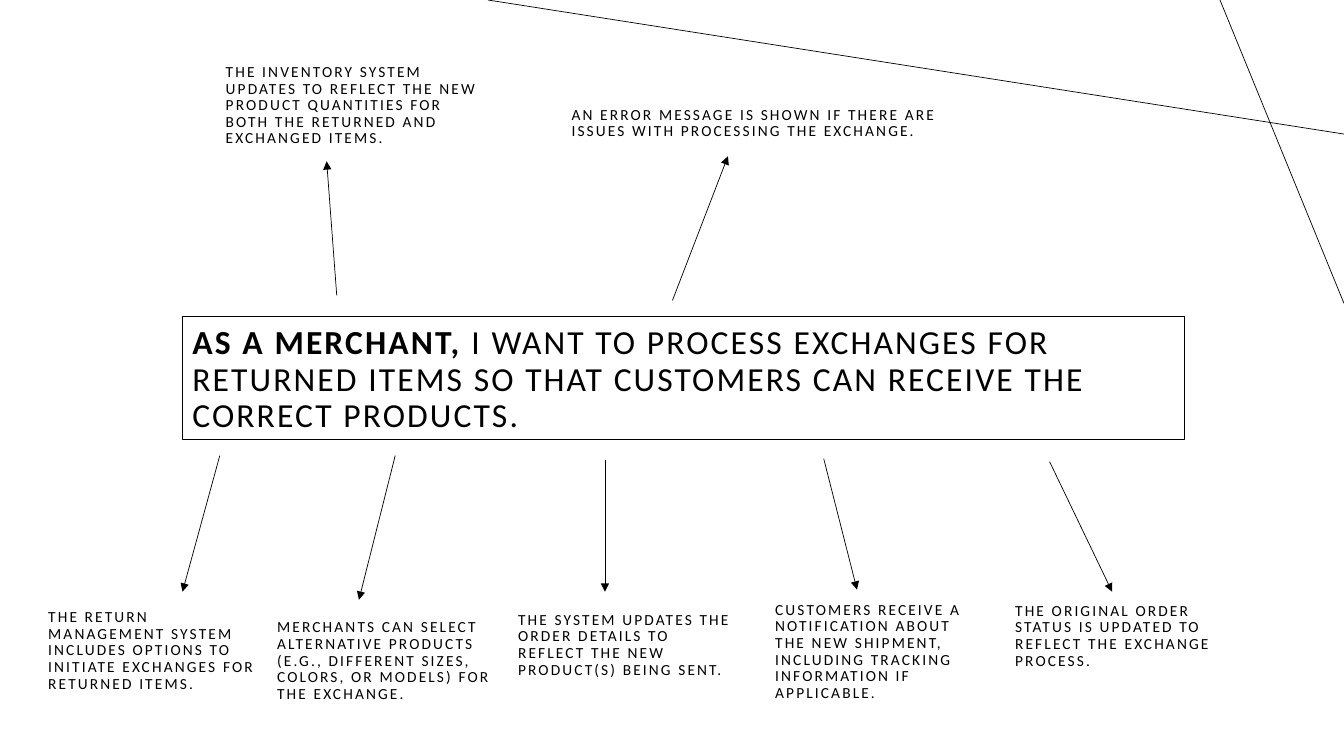
from dataclasses import dataclass

from lxml.etree import SubElement
from pptx import Presentation
from pptx.dml.color import RGBColor
from pptx.enum.shapes import MSO_CONNECTOR, MSO_SHAPE
from pptx.enum.text import MSO_ANCHOR, PP_ALIGN
from pptx.oxml.ns import qn
from pptx.util import Inches, Pt


@dataclass(frozen=True)
class Theme:
    """Colours, type sizes and line widths of the slide."""
    ink: RGBColor = RGBColor(0, 0, 0)
    paper: RGBColor = RGBColor(255, 255, 255)
    font: str = "Calibri"
    story_size: int = 24
    note_size: int = 11
    letter_spacing: int = 150
    line_spacing: float = 0.9
    thin: float = 0.5
    frame: float = 1


class StoryMap:
    """Draws on one slide, measured in columns and rows of a tenth of an inch."""

    def __init__(self, page, theme):
        """Keep the page and the theme."""
        self.page = page
        self.theme = theme

    def place(self, *cells):
        """Turn columns and rows into lengths."""
        return [Inches(cell / 10) for cell in cells]

    def apply(self, target, formats):
        """Set each format value on the target."""
        for name, value in formats.items():
            setattr(target, name, value)

    def fill_text(self, box, size, *spans):
        """Fill a box with one paragraph of (text, bold) spans."""
        frame = box.text_frame
        self.apply(frame, {"word_wrap": True, "vertical_anchor": MSO_ANCHOR.BOTTOM})
        para = frame.paragraphs[0]
        self.apply(para, {"line_spacing": self.theme.line_spacing, "alignment": PP_ALIGN.LEFT})
        for text, bold in spans:
            span = para.add_run()
            span.text = text
            self.apply(span.font, {"name": self.theme.font, "size": Pt(size), "bold": bold})
            span.font.color.rgb = self.theme.ink
            span._r.get_or_add_rPr().set("spc", str(self.theme.letter_spacing))

    def story(self, cells, *spans):
        """Add the framed user story."""
        box = self.page.shapes.add_shape(MSO_SHAPE.RECTANGLE, *self.place(*cells))
        box.shadow.inherit = False
        box.fill.solid()
        box.fill.fore_color.rgb = self.theme.paper
        box.line.color.rgb = self.theme.ink
        box.line.width = Pt(self.theme.frame)
        self.fill_text(box, self.theme.story_size, *spans)

    def note(self, cells, text):
        """Add an acceptance criterion."""
        box = self.page.shapes.add_textbox(*self.place(*cells))
        self.fill_text(box, self.theme.note_size, (text, False))

    def line(self, ends, arrow=False):
        """Add a thin line, with an arrowhead at its end if asked."""
        link = self.page.shapes.add_connector(MSO_CONNECTOR.STRAIGHT, *self.place(*ends))
        link.line.color.rgb = self.theme.ink
        link.line.width = Pt(self.theme.thin)
        properties = link._element.spPr
        if arrow:
            SubElement(properties.find(qn("a:ln")), qn("a:tailEnd"), type="triangle")
        SubElement(properties, qn("a:effectLst"))


DECORATION = [(133.3, 13.3, 48.4, 0), (121, 0, 133.3, 30.1)]

STORY = [
    ("AS A MERCHANT, ", True),
    ("I WANT TO PROCESS EXCHANGES FOR RETURNED ITEMS SO THAT CUSTOMERS "
     "CAN RECEIVE THE CORRECT PRODUCTS.", False),
]

CRITERIA = [
    ((21.8, 45.2, 18.1, 58.7), (3.8, 58.9, 23, 10.3),
     "THE RETURN MANAGEMENT SYSTEM INCLUDES OPTIONS TO INITIATE EXCHANGES FOR RETURNED ITEMS."),
    ((39.2, 45.2, 35.6, 59.5), (26.5, 59.9, 23.9, 10.3),
     "MERCHANTS CAN SELECT ALTERNATIVE PRODUCTS (E.G., DIFFERENT SIZES, COLORS, OR MODELS) "
     "FOR THE EXCHANGE."),
    ((60, 45.6, 60, 58.7), (50.4, 57.5, 23.9, 10.3),
     "THE SYSTEM UPDATES THE ORDER DETAILS TO REFLECT THE NEW PRODUCT(S) BEING SENT."),
    ((81.7, 45.5, 85, 58.5), (75.9, 57.9, 23, 12.2),
     "CUSTOMERS RECEIVE A NOTIFICATION ABOUT THE NEW SHIPMENT, INCLUDING TRACKING INFORMATION "
     "IF APPLICABLE."),
    ((104.1, 45.8, 110.3, 58.7), (99.7, 58.9, 25.1, 8),
     "THE ORIGINAL ORDER STATUS IS UPDATED TO REFLECT THE EXCHANGE PROCESS."),
    ((33.4, 29.3, 32.4, 16), (21.4, 6.1, 27.2, 9),
     "THE INVENTORY SYSTEM UPDATES TO REFLECT THE NEW PRODUCT QUANTITIES FOR BOTH THE RETURNED "
     "AND EXCHANGED ITEMS."),
    ((66.7, 29.8, 72.2, 15.5), (55.7, 6.8, 38.8, 7.6),
     "AN ERROR MESSAGE IS SHOWN IF THERE ARE ISSUES WITH PROCESSING THE EXCHANGE."),
]


def main():
    """Build the slide and save the deck."""
    deck = Presentation()
    deck.slide_width, deck.slide_height = Inches(13.33), Inches(7.5)
    story_map = StoryMap(deck.slides.add_slide(deck.slide_layouts[6]), Theme())
    for ends in DECORATION:
        story_map.line(ends)
    story_map.story((18.1, 31.4, 99.4, 12.2), *STORY)
    for ends, cells, text in CRITERIA:
        story_map.line(ends, arrow=True)
        story_map.note(cells, text)
    deck.save("out.pptx")


if __name__ == "__main__":
    main()
